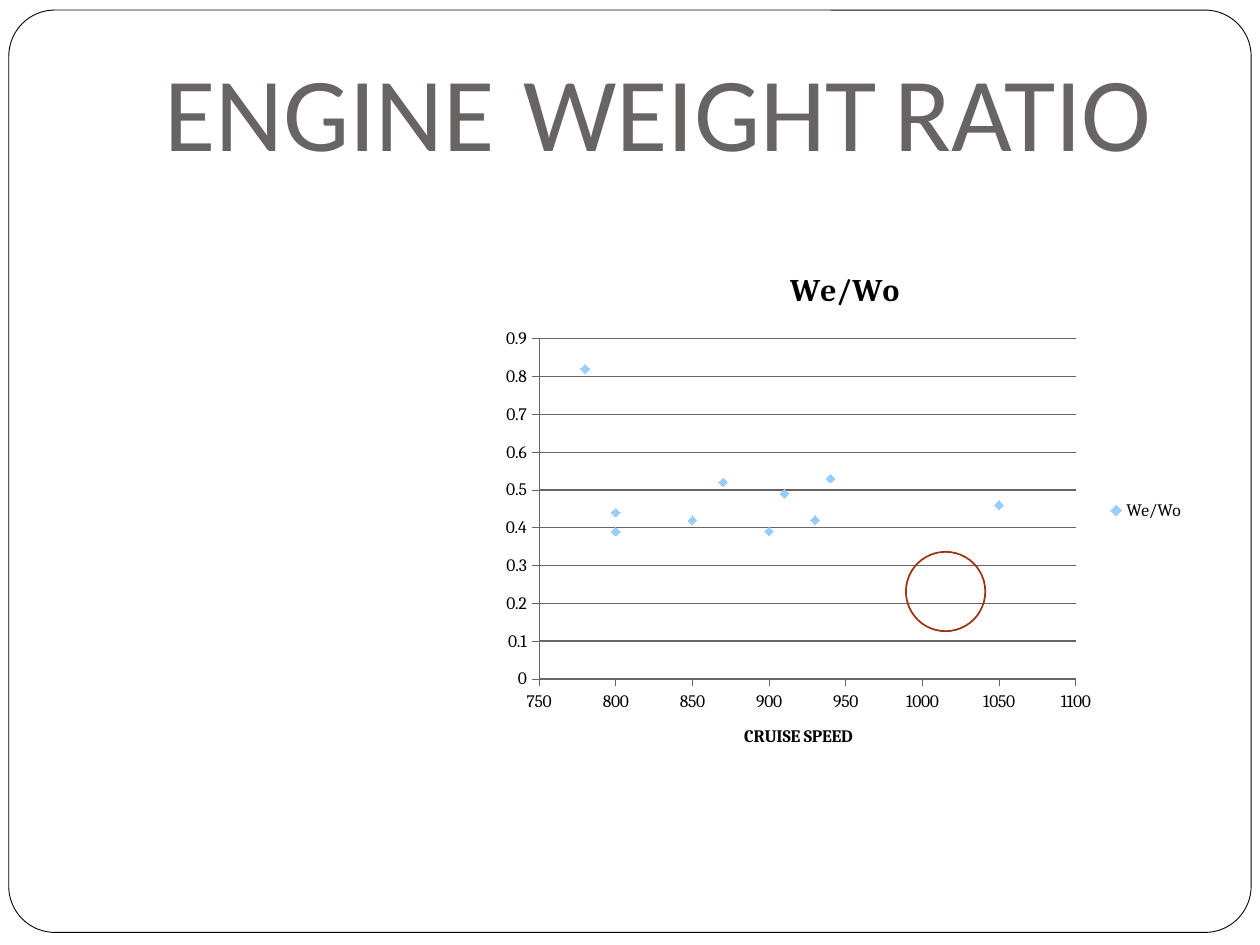
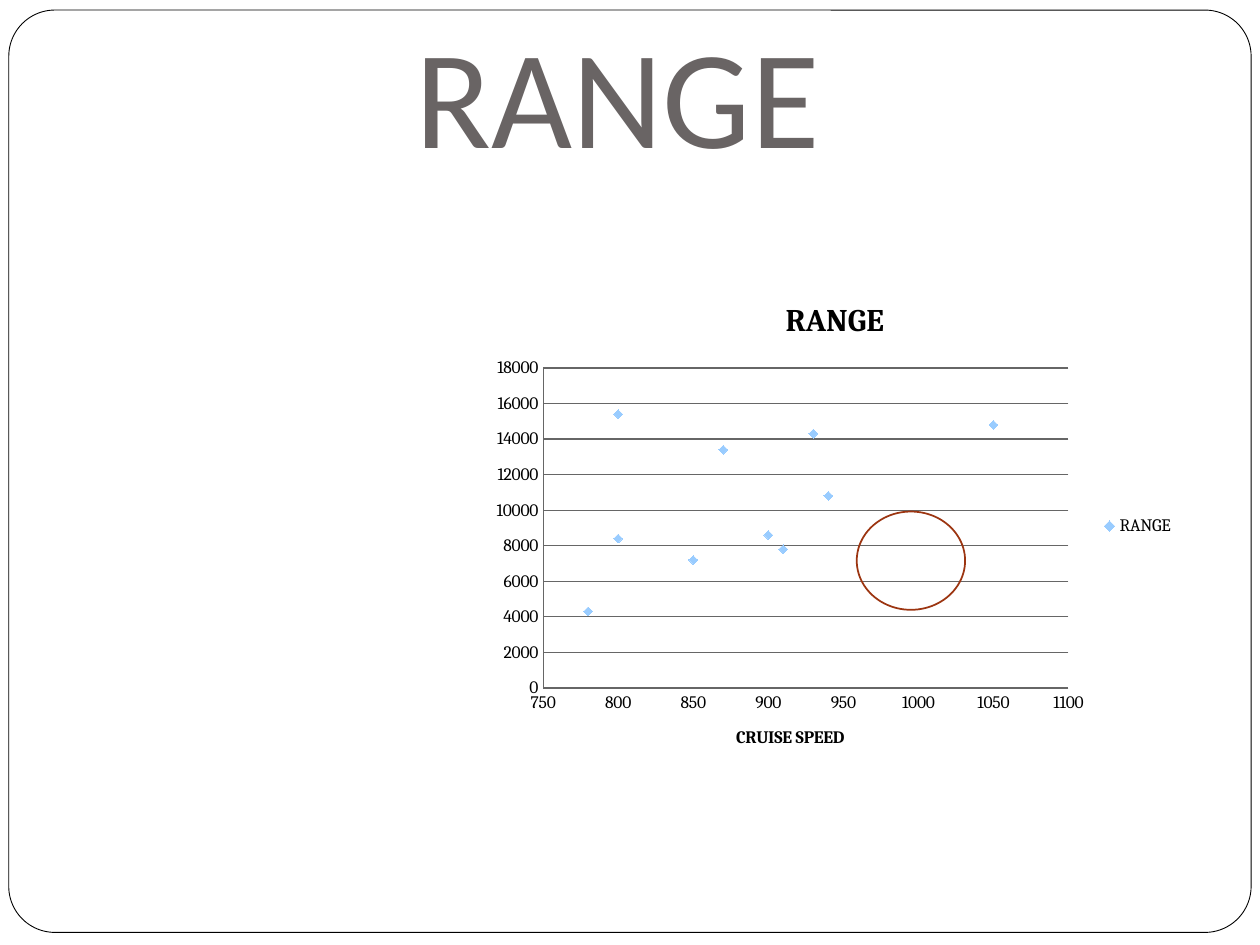
import pptx
import pptx.chart.data
import pptx.dml.color
import pptx.enum.chart
import pptx.enum.shapes
import pptx.enum.text
import pptx.oxml
import pptx.oxml.ns
import pptx.util
from lxml import etree

# Content: boxes are (left, top, width, height) in inches
CRUISE_SPEEDS = [910, 900, 850, 940, 930, 1050, 870, 780, 800, 800]
SLIDES = [
    {
        "title": [("ENGINE", 60), (" ", 72), ("WEIGHT", 60), (" ", 44), ("RATIO", 60)],
        "title_box": (0.86, 0.23, 8.72, 1.27),
        "series": "We/Wo",
        "values": [0.49, 0.39, 0.42, 0.53, 0.42, 0.46, 0.52, 0.82, 0.44, 0.39],
        "top_value": 0.9, "step": 0.1, "ticks": "OUTSIDE",
        "chart_box": (3.91, 1.95, 5.59, 4.2),
        "plot_box": (4.28, 2.69, 4.26, 2.7),
        "target_box": (7.19, 4.38, 0.63, 0.63),
    },
    {
        "title": [("RANGE", 80)],
        "title_box": (0.31, 0.23, 9.19, 1.27),
        "series": "RANGE",
        "values": [7800, 8600, 7200, 10800, 14300, 14800, 13400, 4300, 15400, 8400],
        "top_value": 18000, "step": 2000, "ticks": "NONE",
        "chart_box": (3.83, 2.19, 5.59, 3.97),
        "plot_box": (4.31, 2.92, 4.17, 2.54),
        "target_box": (6.8, 4.06, 0.86, 0.78),
    },
]

# Shared look
COLOURS = {"paper": "FFFFFF", "ink": "000000", "title": "696464",
           "marker": "99CCFF", "grid": "666666", "target": "9C3511"}
TITLE_FONT, CHART_FONT = "Calibri", "Cambria"
FRAME_BOX = (0.07, 0.08, 9.86, 7.32)


def colour(name):
    return pptx.dml.color.RGBColor.from_string(COLOURS[name])


def inches(box):
    return [pptx.util.Inches(length) for length in box]


def style_font(font, size, name, ink, bold=False):
    font.size, font.name, font.bold = pptx.util.Pt(size), name, bold
    font.color.rgb = colour(ink)


def style_line(line, ink, width):
    line.color.rgb, line.width = colour(ink), pptx.util.Pt(width)


def add_outline(page, kind, box, ink, width, fill=None):
    shape = page.shapes.add_shape(kind, *inches(box))
    shape.shadow.inherit = False
    if fill:
        shape.fill.solid()
        shape.fill.fore_color.rgb = colour(fill)
    else:
        shape.fill.background()
    style_line(shape.line, ink, width)
    return shape


def add_span(para, text, size, name, ink, bold=False):
    span = para.add_run()
    span.text = text
    style_font(span.font, size, name, ink, bold)


def add_title(page, content):
    frame = page.shapes.add_textbox(*inches(content["title_box"])).text_frame
    frame.word_wrap = True
    frame.vertical_anchor = pptx.enum.text.MSO_ANCHOR.BOTTOM
    frame.margin_bottom = pptx.util.Inches(0.1)
    para = frame.paragraphs[0]
    para.alignment = pptx.enum.text.PP_ALIGN.CENTER
    for text, size in content["title"]:
        add_span(para, text, size, TITLE_FONT, "title")


def add_heading(heading, text, size):
    add_span(heading.text_frame.paragraphs[0], text, size, CHART_FONT, "ink", bold=True)


def place_plot(chart, chart_box, plot_box):
    """Fix the inner plot area as shares of the chart."""
    left, top, width, height = chart_box
    shares = {"x": (plot_box[0] - left) / width, "y": (plot_box[1] - top) / height,
              "w": plot_box[2] / width, "h": plot_box[3] / height}
    qn = pptx.oxml.ns.qn
    area = chart._chartSpace.find(".//" + qn("c:plotArea"))
    for old in area.findall(qn("c:layout")):
        area.remove(old)
    layout = etree.Element(qn("c:layout"))
    manual = etree.SubElement(layout, qn("c:manualLayout"))
    settings = [("layoutTarget", "inner"), ("xMode", "edge"), ("yMode", "edge")]
    settings += [(key, f"{share:.3f}") for key, share in shares.items()]
    for tag, value in settings:
        etree.SubElement(manual, qn("c:" + tag)).set("val", value)
    area.insert(0, layout)


def style_axis(axis, low, high, step, ticks):
    axis.minimum_scale, axis.maximum_scale, axis.major_unit = low, high, step
    axis.major_tick_mark = getattr(pptx.enum.chart.XL_TICK_MARK, ticks)
    axis.minor_tick_mark = pptx.enum.chart.XL_TICK_MARK.NONE
    axis.tick_labels.number_format = "General"
    axis.tick_labels.number_format_is_linked = False
    style_font(axis.tick_labels.font, 10, CHART_FONT, "ink")
    style_line(axis.format.line, "grid", 0.5)


def add_scatter(page, content):
    data = pptx.chart.data.XyChartData()
    points = data.add_series(content["series"])
    for speed, value in zip(CRUISE_SPEEDS, content["values"]):
        points.add_data_point(speed, value)
    chart = page.shapes.add_chart(pptx.enum.chart.XL_CHART_TYPE.XY_SCATTER,
                                  *inches(content["chart_box"]), data).chart
    style_font(chart.font, 10, CHART_FONT, "ink")
    chart.has_title = True
    add_heading(chart.chart_title, content["series"], 18)
    place_plot(chart, content["chart_box"], content["plot_box"])

    # Axes and grid
    speed_axis, value_axis = chart.category_axis, chart.value_axis
    style_axis(speed_axis, 750, 1100, 50, content["ticks"])
    style_axis(value_axis, 0, content["top_value"], content["step"], content["ticks"])
    speed_axis.has_major_gridlines = False
    speed_axis.has_title = True
    add_heading(speed_axis.axis_title, "CRUISE SPEED", 10)
    value_axis.has_major_gridlines = True
    style_line(value_axis.major_gridlines.format.line, "grid", 0.75)

    # Markers and legend
    chart.plots[0].vary_by_categories = False
    series = chart.plots[0].series[0]
    series.smooth = False
    series.format.line.fill.background()
    series.marker.style = pptx.enum.chart.XL_MARKER_STYLE.DIAMOND
    series.marker.size = 5
    series.marker.format.fill.solid()
    series.marker.format.fill.fore_color.rgb = colour("marker")
    series.marker.format.line.fill.background()
    chart.has_legend = True
    chart.legend.position = pptx.enum.chart.XL_LEGEND_POSITION.RIGHT
    chart.legend.include_in_layout = False
    style_font(chart.legend.font, 10, CHART_FONT, "ink")


def add_page(deck, content):
    page = deck.slides.add_slide(deck.slide_layouts[6])
    page.background.fill.solid()
    page.background.fill.fore_color.rgb = colour("paper")
    shapes = pptx.enum.shapes.MSO_SHAPE
    frame = add_outline(page, shapes.ROUNDED_RECTANGLE, FRAME_BOX, "ink", 0.5, "paper")
    frame.adjustments[0] = 0.05
    add_title(page, content)
    add_scatter(page, content)
    add_outline(page, shapes.OVAL, content["target_box"], "target", 1)


def main():
    deck = pptx.Presentation()
    deck.slide_width, deck.slide_height = inches((10, 7.5))
    for content in SLIDES:
        add_page(deck, content)
    deck.save("out.pptx")


if __name__ == "__main__":
    main()
